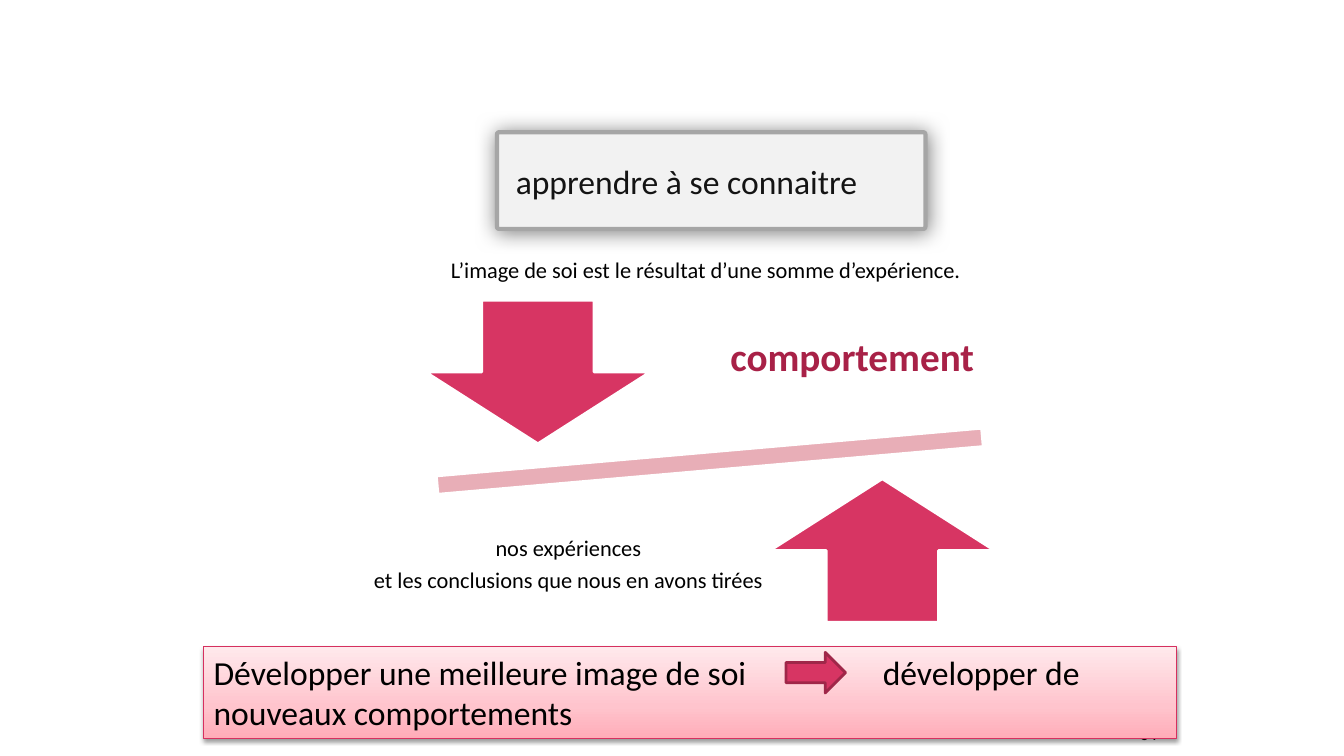
from pptx import Presentation
from pptx.dml import color
from pptx.enum import shapes, text
from pptx.oxml import ns, parse_xml
from pptx.util import Pt

LEFT, CENTER = text.PP_ALIGN.LEFT, text.PP_ALIGN.CENTER
TOP, MIDDLE = text.MSO_ANCHOR.TOP, text.MSO_ANCHOR.MIDDLE
SHAPES = shapes.MSO_SHAPE
NAMESPACE = ns.nsdecls("a")


def rgb(value):
    return color.RGBColor.from_string(value)


def set_all(target, values):
    for name, value in values.items():
        setattr(target, name, value)


def write(shape, lines, size, hue="000000", bold=False, align=LEFT, anchor=TOP,
          wrap=True, margins=(7.2, 3.6, 7.2, 3.6), spacing=None, after=None, tab=None):
    frame = shape.text_frame
    left, top, right, bottom = map(Pt, margins)
    set_all(frame, {"word_wrap": wrap, "vertical_anchor": anchor,
                    "margin_left": left, "margin_top": top,
                    "margin_right": right, "margin_bottom": bottom})
    for index, line in enumerate(lines):
        paragraph = frame.add_paragraph() if index else frame.paragraphs[0]
        set_all(paragraph, {"alignment": align, "line_spacing": spacing,
                            "space_after": after})
        if tab:
            paragraph._p.get_or_add_pPr().append(parse_xml(
                f'<a:tabLst {NAMESPACE}><a:tab pos="{Pt(tab)}" algn="l"/></a:tabLst>'))
        run = paragraph.add_run()
        run.text = line
        set_all(run.font, {"name": "Calibri", "size": Pt(size), "bold": bold})
        run.font.color.rgb = rgb(hue)


def add_label(slide, box, lines, size, **style):
    write(slide.shapes.add_textbox(*map(Pt, box)), lines, size, **style)


def add_block(slide, kind, box, fill, line, width):
    shape = slide.shapes.add_shape(kind, *map(Pt, box))
    shape.shadow.inherit = False
    shape.fill.solid()
    shape.fill.fore_color.rgb = rgb(fill)
    shape.line.color.rgb = rgb(line)
    shape.line.width = Pt(width)
    return shape


def add_shadow(shape, hue, opacity, blur, distance, angle):
    effects = shape._element.spPr.find(ns.qn("a:effectLst"))
    effects.append(parse_xml(
        f'<a:outerShdw {NAMESPACE} blurRad="{Pt(blur)}" dist="{Pt(distance)}" '
        f'dir="{angle * 60000}" rotWithShape="0"><a:srgbClr val="{hue}">'
        f'<a:alpha val="{opacity * 1000}"/></a:srgbClr></a:outerShdw>'))


def add_gradient(shape, stops, angle):
    shape.fill.gradient()
    shape.fill.gradient_angle = angle
    stop_list = shape._element.spPr.find(".//" + ns.qn("a:gsLst"))
    stop_list.clear()
    for position, hue in stops:
        stop_list.append(parse_xml(
            f'<a:gs {NAMESPACE} pos="{position * 1000}"><a:srgbClr val="{hue}"/></a:gs>'))


def main():
    presentation = Presentation()
    set_all(presentation, {"slide_width": Pt(960), "slide_height": Pt(540)})
    slide = presentation.slides.add_slide(presentation.slide_layouts[6])

    title = add_block(slide, SHAPES.ROUNDED_RECTANGLE, (355, 94.5, 306, 69),
                      "F2F2F2", "A6A6A6", 3)
    title.adjustments[0] = 0.02
    add_shadow(title, "808080", 100, 15, 1, 54)
    write(title, ["apprendre à se connaitre"], 24, hue="141414", anchor=MIDDLE,
          margins=(13, 3.6, 7.2, 3.6))

    add_label(slide, (808, 511, 32, 29), ["54"], 11, hue="141414", bold=True,
              anchor=MIDDLE, spacing=0.9)
    add_label(slide, (311, 179.5, 392, 26.5),
              ["L’image de soi est le résultat d’une somme d’expérience."], 16,
              wrap=False, margins=(11, 3.6, 7.2, 3.6))

    balance = add_block(slide, SHAPES.MATH_MINUS, (241, 301.5, 532, 56),
                        "E8AEB7", "FFFFFF", 2)
    balance.rotation = 355
    for kind, left, top in ((SHAPES.DOWN_ARROW, 304, 214.5), (SHAPES.UP_ARROW, 550, 342)):
        add_block(slide, kind, (left, top, 160.5, 102.5), "D73563", "FFFFFF", 2)

    balance_text = {"align": CENTER, "anchor": MIDDLE, "spacing": 0.9}
    add_label(slide, (494, 202.5, 229.5, 107), ["comportement"], 28, hue="A82147",
              bold=True, margins=(16,) * 4, after=Pt(10), **balance_text)
    add_label(slide, (229.5, 350, 353, 107),
              ["nos expériences", "et les conclusions que nous en avons tirées"], 16,
              margins=(7.2,) * 4, after=Pt(5.5), **balance_text)

    banner = add_block(slide, SHAPES.RECTANGLE, (145.5, 462, 695, 65.5),
                       "FFC4CD", "D6305F", 0.75)
    add_gradient(banner, ((0, "FFACB8"), (35, "FFC4CD"), (100, "FFE9EC")), 90)
    add_shadow(banner, "000000", 38, 3.1, 1.6, 90)
    write(banner, ["Développer une meilleure image de soi\tdévelopper de nouveaux comportements"],
          24, tab=478)
    add_block(slide, SHAPES.RIGHT_ARROW, (561.5, 466, 42.5, 29), "D73563", "9F2749", 2)

    presentation.save("out.pptx")


if __name__ == "__main__":
    main()
